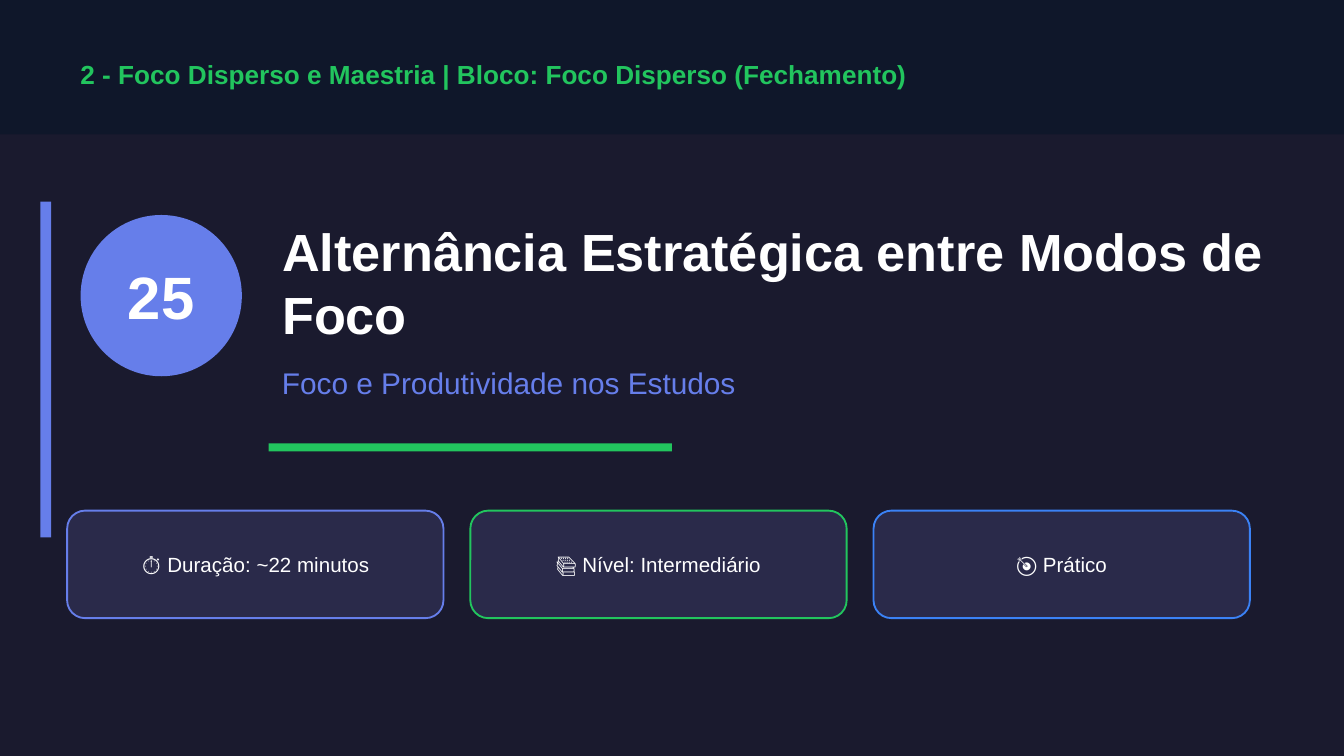
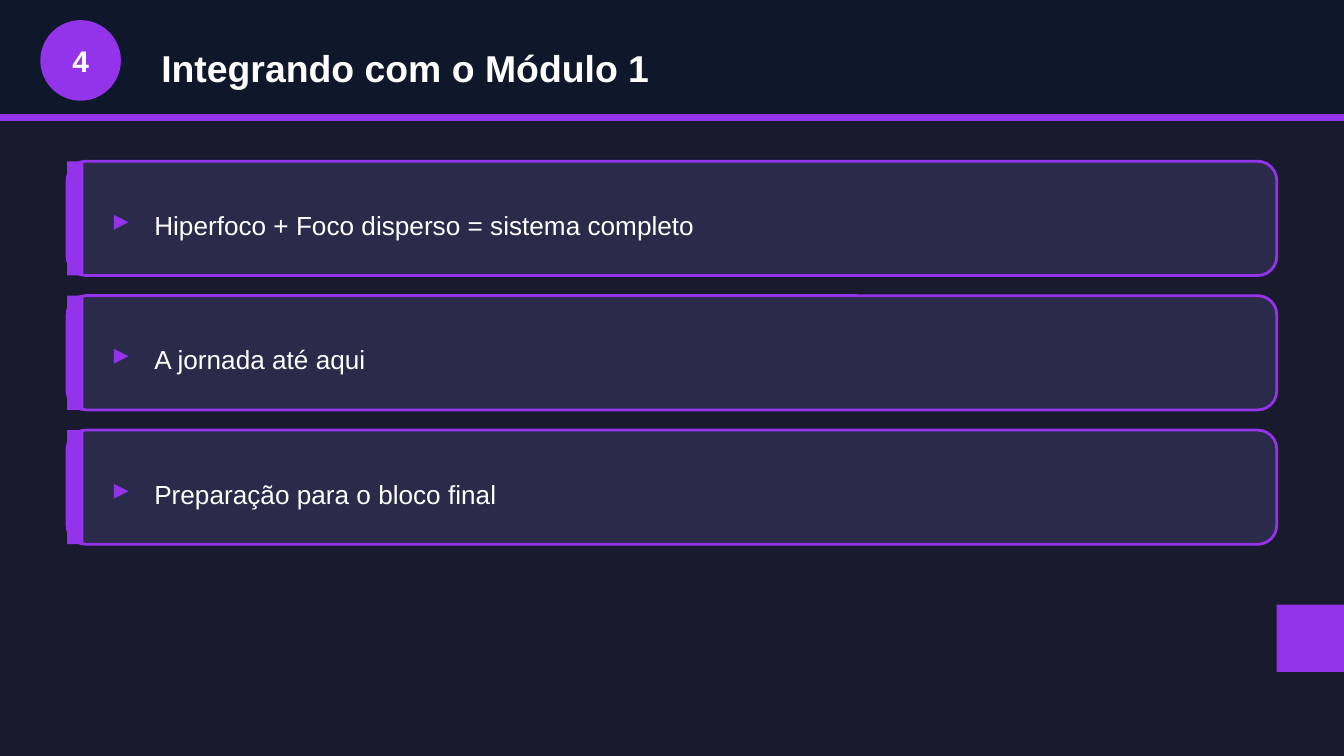
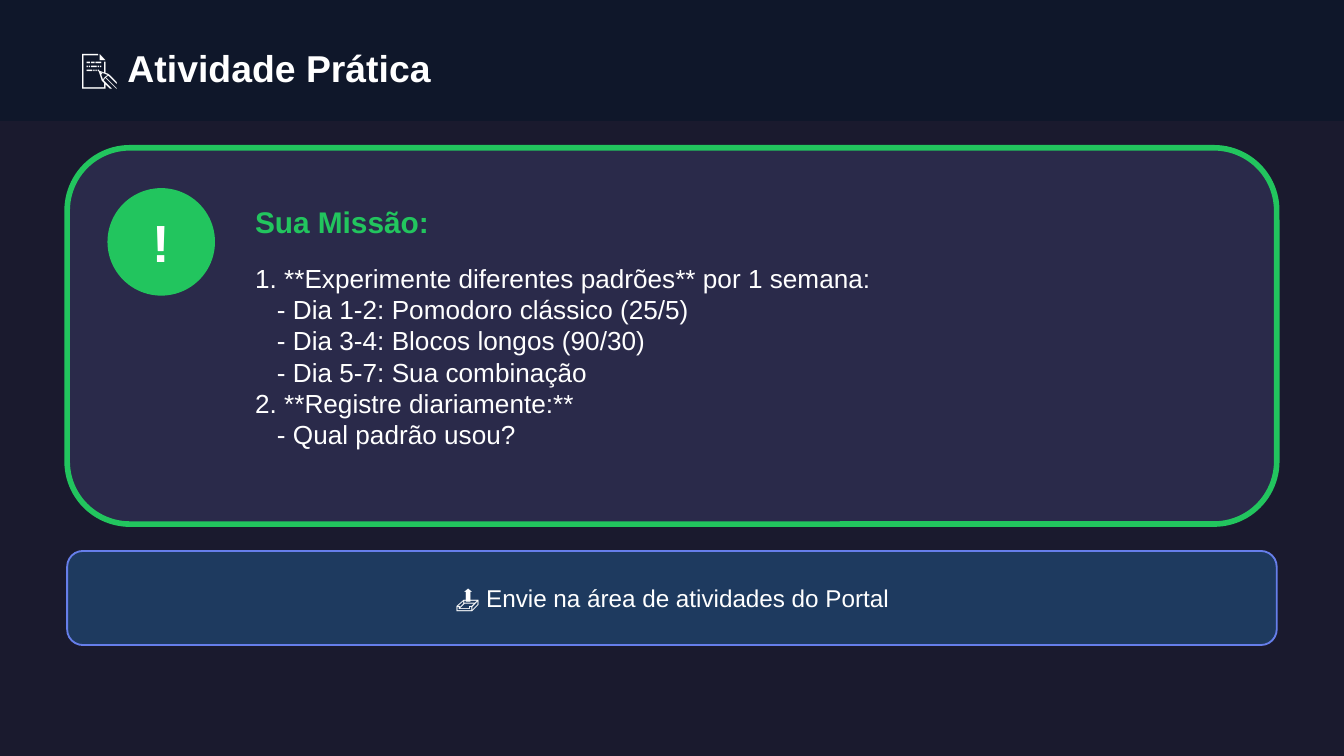
from pptx import Presentation
from pptx.dml.color import RGBColor
from pptx.enum import shapes, text
from pptx.util import Pt

NIGHT = RGBColor(0x1A, 0x1A, 0x2E)
NAVY = RGBColor(0x0F, 0x17, 0x2A)
PANEL = RGBColor(0x2A, 0x2A, 0x4A)
STEEL = RGBColor(0x1E, 0x3A, 0x5F)
INDIGO = RGBColor(0x66, 0x7E, 0xEA)
GREEN = RGBColor(0x22, 0xC5, 0x5E)
BLUE = RGBColor(0x3B, 0x82, 0xF6)
PURPLE = RGBColor(0x93, 0x33, 0xEA)
WHITE = RGBColor(0xFF, 0xFF, 0xFF)

FONT = "Arial"
WIDTH, HEIGHT = 720, 405
EDGE, INNER = 36, 648
BAND = 64.8

RECT = shapes.MSO_SHAPE.RECTANGLE
ROUND = shapes.MSO_SHAPE.ROUNDED_RECTANGLE
OVAL = shapes.MSO_SHAPE.OVAL
LEFT = text.PP_ALIGN.LEFT
CENTER = text.PP_ALIGN.CENTER
MIDDLE = text.MSO_ANCHOR.MIDDLE
TOP = text.MSO_ANCHOR.TOP


def shape(slide, kind, x, y, w, h, fill, line=None, weight=1):
    item = slide.shapes.add_shape(kind, Pt(x), Pt(y), Pt(w), Pt(h))
    item.shadow.inherit = False
    item.fill.solid()
    item.fill.fore_color.rgb = fill
    if line is None:
        item.line.fill.background()
    else:
        item.line.color.rgb = line
        item.line.width = Pt(weight)


def style(para, size, color, bold, align):
    para.alignment = align
    para.font.name = FONT
    para.font.size = Pt(size)
    para.font.color.rgb = color
    para.font.bold = bold


def label(slide, words, x, y, w, h, size, color=WHITE, bold=False,
          align=LEFT, anchor=MIDDLE):
    box = slide.shapes.add_textbox(Pt(x), Pt(y), Pt(w), Pt(h))
    frame = box.text_frame
    frame.word_wrap = True
    frame.vertical_anchor = anchor
    frame.text = words
    for para in frame.paragraphs:
        style(para, size, color, bold, align)
    return frame


def title(slide, words, x, y, w, h, size=20):
    box = slide.shapes.title
    box.left, box.top, box.width, box.height = Pt(x), Pt(y), Pt(w), Pt(h)
    frame = box.text_frame
    frame.text = words
    frame.word_wrap = True
    frame.auto_size = text.MSO_AUTO_SIZE.NONE
    frame.vertical_anchor = MIDDLE
    style(frame.paragraphs[0], size, WHITE, True, LEFT)
    box.element.getparent().append(box.element)


def badge(slide, words, x, y, side, color, size, top, tall):
    shape(slide, OVAL, x, y, side, side, color)
    label(slide, words, x, top, side, tall, size, bold=True, align=CENTER)


def panel(slide, words, x, y, w, h, fill, line, size, tall):
    shape(slide, ROUND, x, y, w, h, fill, line)
    label(slide, words, x, y + 10.8, w, tall, size, align=CENTER)


def point(slide, words, y, color):
    shape(slide, ROUND, EDGE, y, INNER, 61.2, PANEL, color, 1.5)
    shape(slide, RECT, EDGE, y, 8.64, 61.2, color)
    label(slide, "▸", 54, y + 18, 21.6, 25.2, 16, color, True)
    label(slide, words, 75.6, y + 18, 590.4, 32.4, 14)


def start(deck, band=BAND):
    slide = deck.slides.add_slide(deck.slide_layouts[5])
    shape(slide, RECT, 0, 0, WIDTH, band, NAVY)
    return slide


def cover(deck):
    slide = start(deck, 72)
    label(slide, "2 - Foco Disperso e Maestria | Bloco: Foco Disperso (Fechamento)",
          EDGE, 25.2, INNER, 28.8, 14, GREEN, True)
    shape(slide, RECT, 21.6, 108, 5.76, 180, INDIGO)
    badge(slide, "25", 43.2, 115.2, 86.4, INDIGO, 32, 133.2, 50.4)
    title(slide, "Alternância Estratégica entre Modos de Foco",
          144, 115.2, 540, 72, 28)
    label(slide, "Foco e Produtividade nos Estudos", 144, 187.2, 540, 36, 16, INDIGO)
    shape(slide, RECT, 144, 237.6, 216, 4.32, GREEN)
    facts = [("⏱ Duração: ~22 minutos", INDIGO),
             ("📚 Nível: Intermediário", GREEN),
             ("🎯 Prático", BLUE)]
    for i, (words, color) in enumerate(facts):
        panel(slide, words, EDGE + i * 216, 273.6, 201.6, 57.6, PANEL, color, 11, 36)


def topic(deck):
    slide = start(deck)
    shape(slide, RECT, 0, 61.2, WIDTH, 3.6, PURPLE)
    badge(slide, "4", 21.6, 10.8, 43.2, PURPLE, 16, 18, 28.8)
    title(slide, "Integrando com o Módulo 1", 79.2, 18, 612, 36)
    points = ["Hiperfoco + Foco disperso = sistema completo",
              "A jornada até aqui",
              "Preparação para o bloco final"]
    for i, words in enumerate(points):
        point(slide, words, 86.4 + i * 72, PURPLE)
    shape(slide, RECT, 684, 324, 36, 36, PURPLE)


def task(deck):
    slide = start(deck)
    title(slide, "📝 Atividade Prática", EDGE, 18, INNER, 36)
    shape(slide, ROUND, EDGE, 79.2, INNER, 201.6, PANEL, GREEN, 3)
    badge(slide, "!", 57.6, 100.8, 57.6, GREEN, 28, 108, 43.2)
    label(slide, "Sua Missão:", 129.6, 100.8, 540, 36, 16, GREEN, True)
    steps = ["1. **Experimente diferentes padrões** por 1 semana:",
             "- Dia 1-2: Pomodoro clássico (25/5)",
             "- Dia 3-4: Blocos longos (90/30)",
             "- Dia 5-7: Sua combinação",
             "2. **Registre diariamente:**",
             "- Qual padrão usou?"]
    frame = label(slide, "\n".join(steps), 129.6, 136.8, 532.8, 129.6, 14, anchor=TOP)
    for para in frame.paragraphs:
        if para.text.startswith("-"):
            para._p.get_or_add_pPr().set("marL", str(Pt(11.7)))
    panel(slide, "📤 Envie na área de atividades do Portal",
          EDGE, 295.2, INNER, 50.4, STEEL, INDIGO, 13, 28.8)


def main():
    deck = Presentation()
    deck.slide_width, deck.slide_height = Pt(WIDTH), Pt(HEIGHT)
    back = deck.slide_master.background.fill
    back.solid()
    back.fore_color.rgb = NIGHT
    cover(deck)
    topic(deck)
    task(deck)
    deck.save("out.pptx")


if __name__ == "__main__":
    main()
